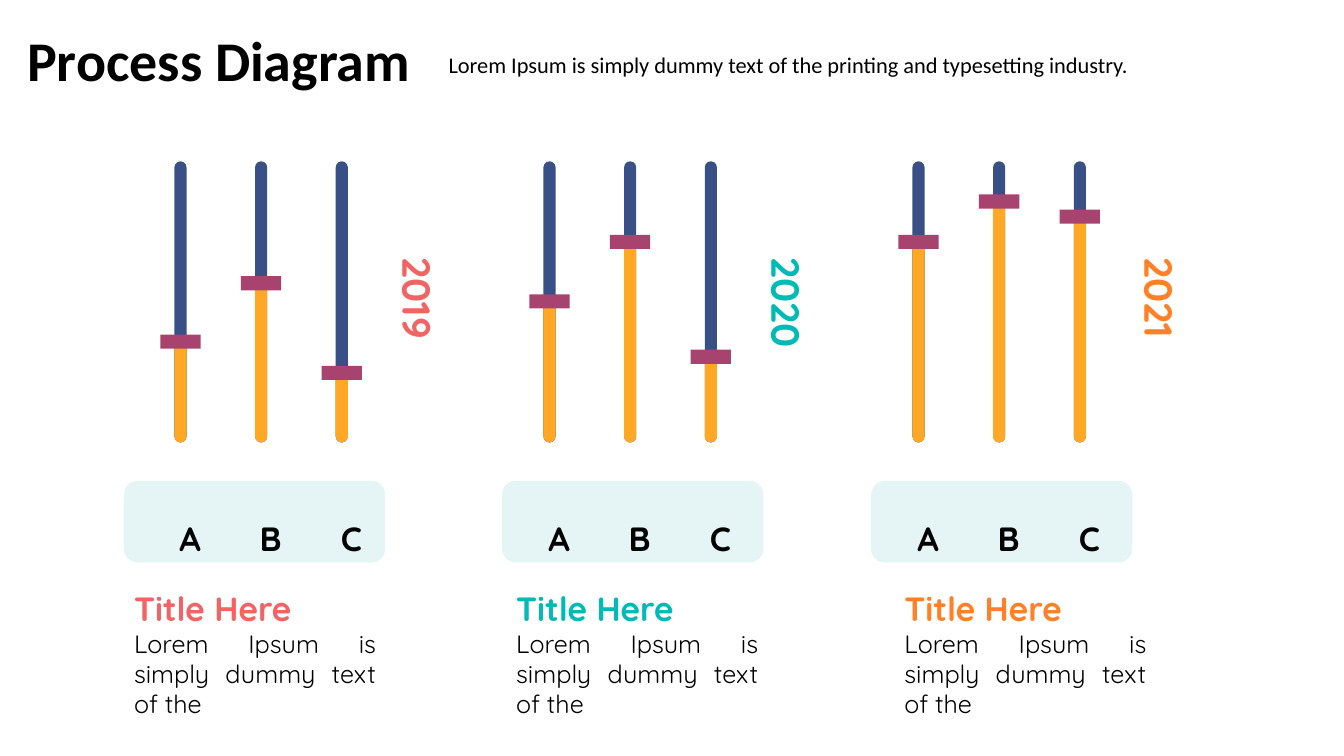
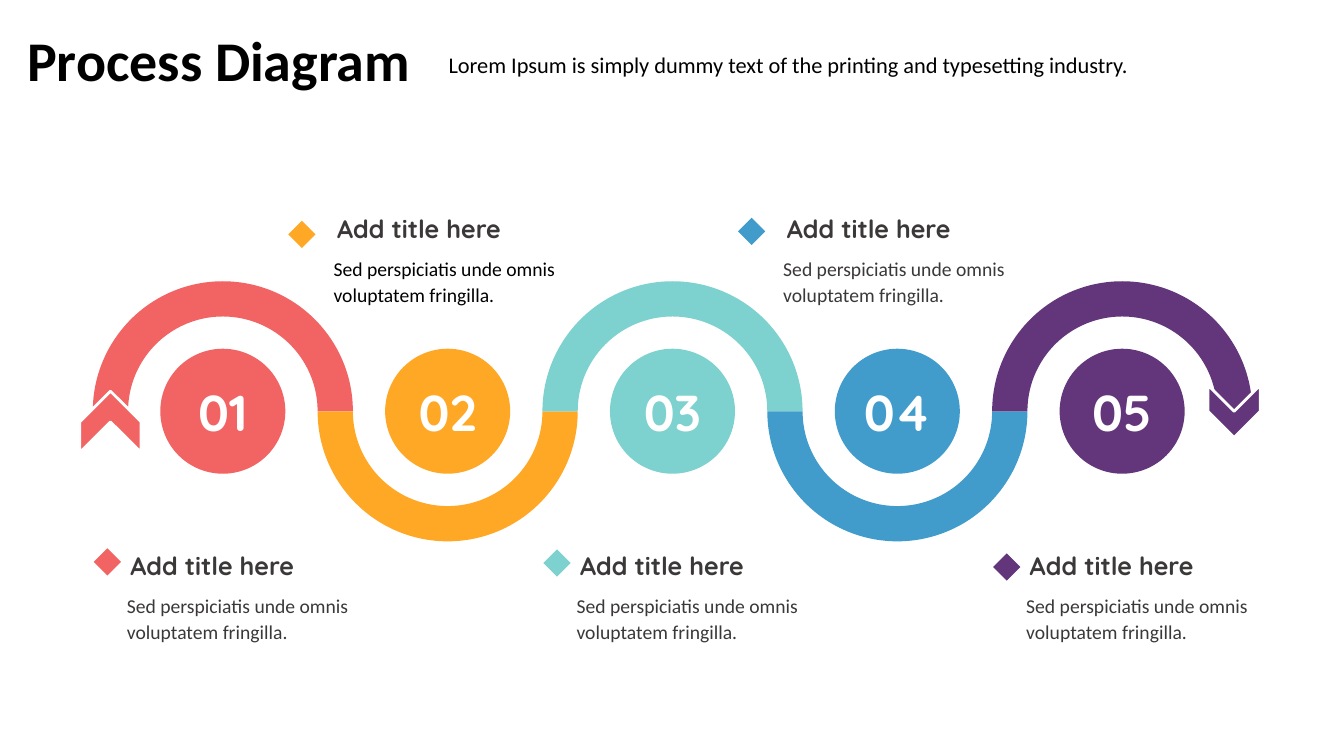
from dataclasses import dataclass

from lxml import etree
from pptx import Presentation
from pptx import util as u
from pptx.dml.color import RGBColor
from pptx.enum import shapes, text
from pptx.oxml.ns import qn

PX = 9144  # EMU per px, 100 px to the inch
COLORS = {
    "black": "000000", "white": "FFFFFF", "dark": "3B3838",
    "coral": "F26363", "teal": "00BAB5", "orange": "FF8026",
    "amber": "FFA826", "aqua": "7DD1CE", "blue": "419CCC",
    "purple": "63357A", "navy": "385085", "plum": "A8436F",
}
HEADING_FONT, BODY_FONT = "Quicksand", "Calibri"
SHAPE, ALIGN, ANCHOR = shapes.MSO_SHAPE, text.PP_ALIGN, text.MSO_ANCHOR


@dataclass
class Style:
    size: int
    color: str = "black"
    font: str = HEADING_FONT
    bold: bool = True
    align: ALIGN = ALIGN.LEFT
    spacing: float = 1.0


@dataclass
class Mixer:
    """One year of sliders; the dx values are measured from the first slider."""
    year: str
    color: str
    center: int
    knob_tops: tuple
    panel_dx: int
    year_dx: int
    card_dx: int


@dataclass
class Step:
    number: str
    color: str
    diamond_dy: int
    text_color: str = "dark"


MIXERS = [
    Mixer("2019", "coral", 179, (332, 274, 363), -56, 211, -73),
    Mixer("2020", "teal", 545, (292, 233, 347), -47, 211, -60),
    Mixer("2021", "orange", 911, (233, 193, 208), -47, 215, -41),
]
STEPS = [
    Step("01", "coral", 3),
    Step("02", "amber", 12, "black"),
    Step("03", "aqua", 4),
    Step("04", "blue", 9),
    Step("05", "purple", 8),
]


# Basic parts
def rgb(name):
    return RGBColor.from_string(COLORS[name])


def emu(box):
    return [u.Emu(round(length * PX)) for length in box]


def add_shape(slide, kind, box, fill, line=None, rotation=0):
    shape = slide.shapes.add_shape(kind, *emu(box))
    shape.shadow.inherit = False
    shape.rotation = rotation
    shape.fill.solid()
    shape.fill.fore_color.rgb = rgb(fill)
    if line:
        shape.line.color.rgb = rgb(line)
        shape.line.width = u.Pt(2)
    else:
        shape.line.fill.background()
    return shape


def set_opacity(shape, percent):
    color = shape.fill._xPr.find(f".//{qn('a:srgbClr')}")
    etree.SubElement(color, qn("a:alpha"), val=str(percent * 1000))


def write(shape, lines, anchor=ANCHOR.TOP, wrap=True, insets=None):
    """Fill a shape with (wording, style) paragraphs."""
    frame = shape.text_frame
    frame.word_wrap = wrap
    frame.vertical_anchor = anchor
    if insets:
        (frame.margin_left, frame.margin_top,
         frame.margin_right, frame.margin_bottom) = emu(insets)
    frame.text = "\n".join(wording for wording, _ in lines)
    for paragraph, (_, style) in zip(frame.paragraphs, lines):
        paragraph.alignment = style.align
        paragraph.line_spacing = style.spacing
        for run in paragraph.runs:
            run.font.size = u.Pt(style.size)
            run.font.name = style.font
            run.font.bold = style.bold
            run.font.color.rgb = rgb(style.color)
    return frame


def add_text(slide, box, lines, **options):
    return write(slide.shapes.add_textbox(*emu(box)), lines, **options)


# Header shared by the slides
def add_header_slide(presentation):
    slide = presentation.slides.add_slide(presentation.slide_layouts[5])
    title = slide.shapes.title
    title.left, title.top, title.width, title.height = emu((17, 20, 404, 77))
    frame = write(title, [("Process Diagram", Style(40, font=BODY_FONT))], wrap=False)
    frame.auto_size = text.MSO_AUTO_SIZE.SHAPE_TO_FIT_TEXT
    intro = "Lorem Ipsum is simply dummy text of the printing and typesetting industry."
    style = Style(16, font=BODY_FONT, bold=False, align=ALIGN.CENTER)
    add_text(slide, (422, 46, 720, 37), [(intro, style)], wrap=False)
    return slide


# Slide 1: sliders
def add_slider(slide, center, knob_top, label):
    top, bottom, width = 160, 439, 12
    knob_width, knob_height = 40, 14
    level = knob_top + knob_height // 2
    for start, color in ((top, "navy"), (level, "amber")):
        bar = add_shape(slide, SHAPE.ROUNDED_RECTANGLE,
                        (center - width / 2, start, width, bottom - start), color)
        bar.adjustments[0] = 0.5
    add_shape(slide, SHAPE.RECTANGLE,
              (center - knob_width / 2, knob_top, knob_width, knob_height), "plum")
    add_text(slide, (center - 26, 513, 51, 37),
             [(label, Style(24, align=ALIGN.CENTER))],
             anchor=ANCHOR.MIDDLE, insets=(20, 4, 0, 0))


def add_mixer(slide, mixer):
    left = mixer.center
    panel = add_shape(slide, SHAPE.ROUNDED_RECTANGLE,
                      (left + mixer.panel_dx, 477, 259, 81), "aqua")
    set_opacity(panel, 20)
    for index, (label, knob_top) in enumerate(zip("ABC", mixer.knob_tops)):
        add_slider(slide, left + 80 * index, knob_top, label)

    # Year, reading downwards
    frame = add_text(slide, (left + mixer.year_dx, 256, 49, 160),
                     [(mixer.year, Style(28, mixer.color))],
                     anchor=ANCHOR.MIDDLE, insets=(0, 0, 0, 0))
    frame._txBody.bodyPr.set("vert", "vert")

    # Title and description
    add_text(slide, (left + mixer.card_dx, 556, 294, 119), [
        ("Title Here", Style(24, mixer.color, align=ALIGN.JUSTIFY)),
        ("Lorem Ipsum is simply dummy text of the",
         Style(18, bold=False, align=ALIGN.JUSTIFY)),
    ], insets=(27, 27, 27, 27))


def build_mixer_slide(presentation):
    slide = add_header_slide(presentation)
    for mixer in MIXERS:
        add_mixer(slide, mixer)


# Slide 2: winding path
def add_step(slide, step, center, middle, upward):
    # Half ring, opening away from the caption
    outer, band, disc = 258, 35, 124
    ring = add_shape(slide, SHAPE.BLOCK_ARC,
                     (center - outer / 2, middle - outer / 2, outer, outer),
                     step.color, rotation=0 if upward else 180)
    ring.adjustments[2] = band / outer

    # Numbered disc
    circle = add_shape(slide, SHAPE.OVAL,
                       (center - disc / 2, middle - disc / 2, disc, disc), step.color)
    write(circle, [(step.number, Style(36, "white", align=ALIGN.CENTER))],
          anchor=ANCHOR.MIDDLE, wrap=False, insets=(0, 0, 0, 0))

    # Caption below an upper ring, above a lower one
    title_dx, diamond_dx, top = (-103, -128, 541) if upward else (-121, -158, 207)
    left = center + title_dx
    add_shape(slide, SHAPE.DIAMOND,
              (center + diamond_dx, top + step.diamond_dy, 27, 27), step.color)
    add_text(slide, (left, top, 185, 40),
             [("Add title here", Style(18, "dark", align=ALIGN.CENTER))], wrap=False)
    add_text(slide, (left - 2, top + 41, 243, 61),
             [("Sed perspiciatis unde omnis voluptatem fringilla.",
               Style(14, step.text_color, BODY_FONT, bold=False, spacing=1.1))])


def build_path_slide(presentation):
    slide = add_header_slide(presentation)
    for index, step in enumerate(STEPS):
        add_step(slide, step, 221 + 223 * index, 408, upward=index % 2 == 0)

    # Arrowheads at both ends of the path
    for box, color, rotation in (((79, 388, 61, 61), "coral", 270),
                                 ((1198, 382, 52, 52), "purple", 90)):
        add_shape(slide, SHAPE.CHEVRON, box, color, line="white", rotation=rotation)


def main():
    presentation = Presentation()
    presentation.slide_width, presentation.slide_height = emu((1333, 750))
    build_mixer_slide(presentation)
    build_path_slide(presentation)
    presentation.save("out.pptx")


if __name__ == "__main__":
    main()
